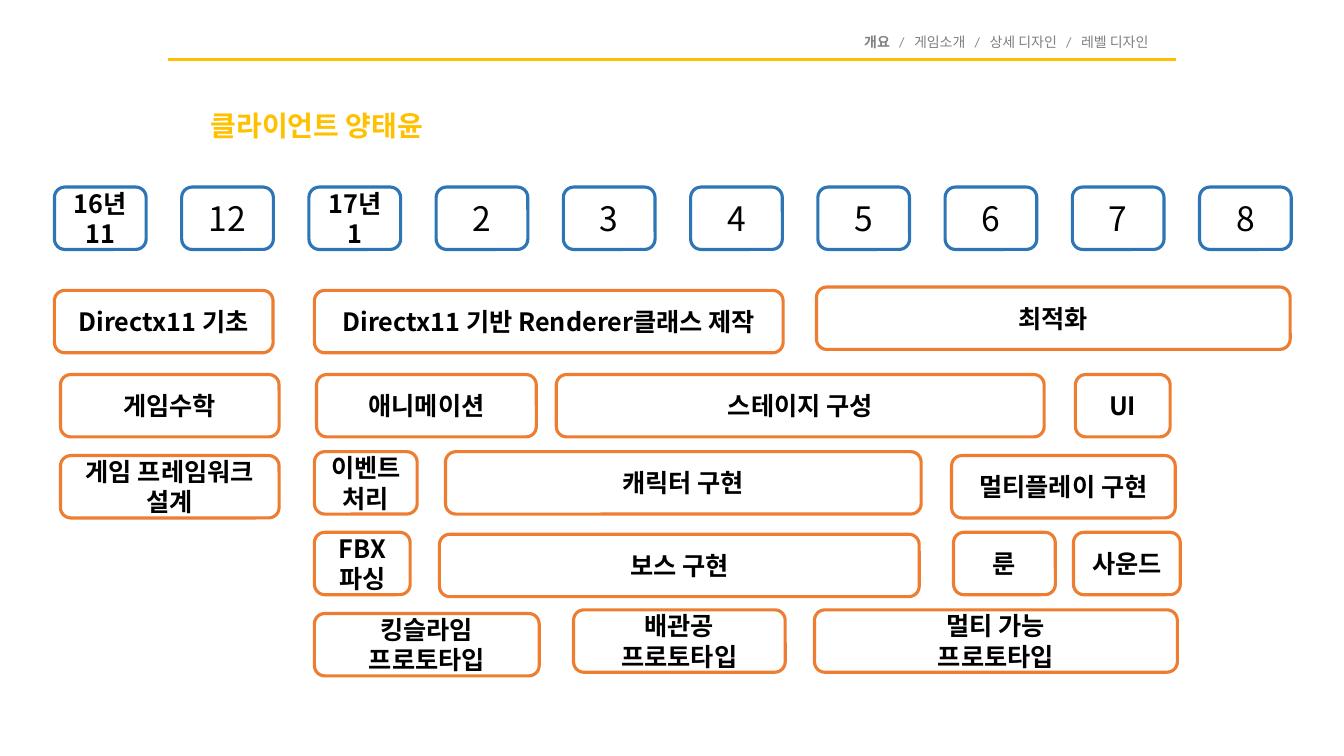
from dataclasses import dataclass

from lxml import etree
from pptx import Presentation
from pptx.dml.color import RGBColor
from pptx.enum.shapes import MSO_CONNECTOR, MSO_SHAPE
from pptx.enum.text import MSO_ANCHOR, PP_ALIGN
from pptx.oxml.ns import qn
from pptx.util import Pt

ROUNDED = MSO_SHAPE.ROUNDED_RECTANGLE
STRAIGHT = MSO_CONNECTOR.STRAIGHT
MIDDLE = MSO_ANCHOR.MIDDLE
CENTER, LEFT, RIGHT = PP_ALIGN.CENTER, PP_ALIGN.LEFT, PP_ALIGN.RIGHT


@dataclass(frozen=True)
class Theme:
    yellow: RGBColor = RGBColor(0xFF, 0xC0, 0x00)
    blue: RGBColor = RGBColor(0x2E, 0x75, 0xB6)
    orange: RGBColor = RGBColor(0xED, 0x7D, 0x31)
    grey: RGBColor = RGBColor(0x80, 0x80, 0x80)
    black: RGBColor = RGBColor(0, 0, 0)
    white: RGBColor = RGBColor(0xFF, 0xFF, 0xFF)
    font: str = "Noto Sans CJK KR"
    nav_font: str = "Calibri"
    title_size: float = 20
    nav_size: float = 10
    month_size: float = 24
    task_size: float = 18
    line: float = 2.25


@dataclass(frozen=True)
class Task:
    text: str
    left: float
    top: float
    width: float


THEME = Theme()
BOX_HEIGHT = 44.6
MONTH_LEFT, MONTH_TOP, MONTH_WIDTH, MONTH_STEP = 38.9, 133.6, 65.5, 90.88
MONTHS = ["16년\n11", "12", "17년\n1", "2", "3", "4", "5", "6", "7", "8"]
NAV = ["개요", "게임소개", "상세 디자인", "레벨 디자인"]
TASKS = [
    Task("Directx11 기초", 38.9, 207.4, 156.2),
    Task("Directx11 기반 Renderer클래스 제작", 224.6, 207.4, 334.8),
    Task("최적화", 583.2, 205, 338.4),
    Task("게임수학", 43.2, 267.5, 156.2),
    Task("애니메이션", 226.1, 267.5, 157),
    Task("스테이지 구성", 397.4, 267.5, 348.5),
    Task("UI", 768.2, 267.5, 67.7),
    Task("게임 프레임워크 설계", 43.2, 325.4, 156.2),
    Task("이벤트 처리", 224.6, 322.6, 73.4),
    Task("캐릭터 구현", 318.2, 322.6, 339.8),
    Task("멀티플레이 구현", 679.7, 325.4, 159.8),
    Task("FBX 파싱", 224.6, 380.2, 68.4),
    Task("보스 구현", 313.9, 381.6, 342.7),
    Task("룬", 681.1, 380.2, 72.7),
    Task("사운드", 766.8, 380.2, 76.3),
    Task("킹슬라임\n프로토타입", 224.6, 438.2, 160.6),
    Task("배관공\n프로토타입", 409.7, 435.6, 151.2),
    Task("멀티 가능\n프로토타입", 581.8, 435.6, 259.2),
]


def set_font(font, size: float, color: RGBColor, name: str = THEME.font) -> None:
    font.size = Pt(size)
    font.name = name
    font.color.rgb = color


def write(tf, text: str, size: float, color: RGBColor, bold: bool, align) -> None:
    tf.word_wrap = True
    tf.vertical_anchor = MIDDLE
    tf.text = text
    for p in tf.paragraphs:
        p.alignment = align
        set_font(p.font, size, color)
        p.font.bold = bold


def add_box(s, task: Task, outline: RGBColor, size: float, bold: bool) -> None:
    sp = s.shapes.add_shape(ROUNDED, Pt(task.left), Pt(task.top),
                            Pt(task.width), Pt(BOX_HEIGHT))
    sp.shadow.inherit = False
    sp.fill.solid()
    sp.fill.fore_color.rgb = THEME.white
    sp.line.color.rgb = outline
    sp.line.width = Pt(THEME.line)
    write(sp.text_frame, task.text, size, THEME.black, bold, CENTER)


def add_header(s) -> None:
    title = s.shapes.add_textbox(Pt(143.3), Pt(78.7), Pt(277.2), Pt(20.9))
    write(title.text_frame, "클라이언트 양태윤", THEME.title_size, THEME.yellow, True, LEFT)
    rule = s.shapes.add_connector(STRAIGHT, Pt(120), Pt(42.5), Pt(840), Pt(42.5))
    rule.line.color.rgb = THEME.yellow
    rule.line.width = Pt(THEME.line)
    etree.SubElement(rule._element.spPr, qn("a:effectLst"))
    nav = s.shapes.add_textbox(Pt(561.6), Pt(20.2), Pt(265.7), Pt(19.4))
    nav.text_frame.word_wrap = True
    p = nav.text_frame.paragraphs[0]
    p.alignment = RIGHT
    set_font(p.font, THEME.nav_size, THEME.grey, THEME.nav_font)
    current, *others = NAV
    r = p.add_run()
    r.text = current
    r.font.bold = True
    r = p.add_run()
    r.text = "".join(f"   /   {name}" for name in others)


prs = Presentation()
prs.slide_width, prs.slide_height = Pt(960), Pt(540)
s = prs.slides.add_slide(prs.slide_layouts[6])
add_header(s)
for i, month in enumerate(MONTHS):
    has_year = "\n" in month
    add_box(s, Task(month, MONTH_LEFT + i * MONTH_STEP, MONTH_TOP, MONTH_WIDTH),
            THEME.blue, THEME.task_size if has_year else THEME.month_size, has_year)
for task in TASKS:
    add_box(s, task, THEME.orange, THEME.task_size, True)
prs.save("out.pptx")
